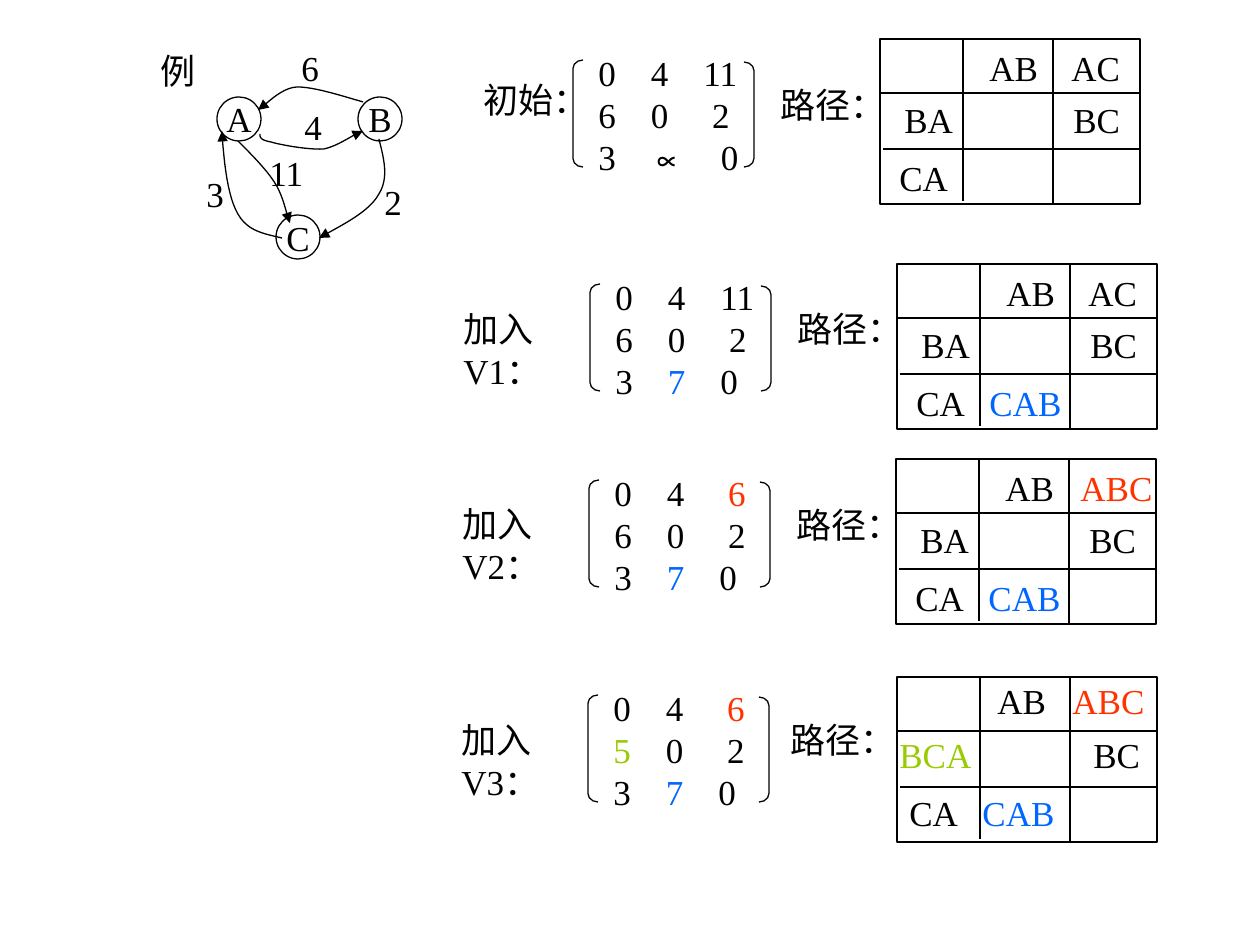
from lxml.etree import SubElement
from pptx import Presentation
from pptx.dml.color import RGBColor
from pptx.enum.shapes import MSO_CONNECTOR, MSO_SHAPE
from pptx.enum.text import MSO_ANCHOR, MSO_AUTO_SIZE, PP_ALIGN
from pptx.oxml.ns import qn
from pptx.util import Emu, Pt

PX_PER_INCH = 126
FONT = "Times New Roman"
COLORS = {"black": "000000", "blue": "0066FF", "red": "FF3300", "green": "99CC00"}
LINE_WIDTH = Pt(0.75)
TEXT_HEIGHT = 55
GRID_WIDTH, GRID_HEIGHT = 260, 165
# The colour of an entry tells which step changed it
ENTRY_COLORS = {"7": "blue", "CAB": "blue", "ABC": "red", "BCA": "green", "5": "green"}


def px(value):
    return Emu(round(value * 914400 / PX_PER_INCH))


def color(name):
    return RGBColor.from_string(COLORS[name])


def style(paragraph):
    paragraph.font.name = FONT
    paragraph.font.size = Pt(20)
    paragraph.font.color.rgb = color("black")


def set_line(shape):
    shape.line.color.rgb = color("black")
    shape.line.width = LINE_WIDTH


def outline(shape):
    shape.shadow.inherit = False
    shape.fill.background()
    set_line(shape)


def add_label(slide, text, left, top, width, wrap=False):
    frame = slide.shapes.add_textbox(px(left), px(top), px(width), px(TEXT_HEIGHT)).text_frame
    frame.word_wrap = wrap
    frame.auto_size = MSO_AUTO_SIZE.SHAPE_TO_FIT_TEXT
    frame.text = text
    style(frame.paragraphs[0])


def add_entries(slide, rows, left, top, width, height):
    """Each row is its entries and the tab positions between them."""
    frame = slide.shapes.add_textbox(px(left), px(top), px(width), px(height)).text_frame
    frame.word_wrap = True
    frame.margin_right = 0
    for index, (entries, positions) in enumerate(rows):
        paragraph = frame.paragraphs[0] if index == 0 else frame.add_paragraph()
        if positions:
            tabs = SubElement(paragraph._p.get_or_add_pPr(), qn("a:tabLst"))
            for position in positions:
                SubElement(tabs, qn("a:tab"), pos=str(px(position)), algn="l")
        style(paragraph)
        for column, entry in enumerate(entries):
            if column:
                paragraph.add_run().text = "\t"
            run = paragraph.add_run()
            run.text = entry
            if entry == "∝":
                run.font.name = "Arial"
            # A 6 in the last column is the shortened A to C distance
            shortened = entry == "6" and column == 2
            if shortened or entry in ENTRY_COLORS:
                run.font.color.rgb = color("red" if shortened else ENTRY_COLORS[entry])


def add_node(slide, name, left, top):
    node = slide.shapes.add_shape(MSO_SHAPE.OVAL, px(left), px(top), px(44), px(44))
    outline(node)
    frame = node.text_frame
    frame.word_wrap = False
    frame.vertical_anchor = MSO_ANCHOR.MIDDLE
    frame.text = name
    frame.paragraphs[0].alignment = PP_ALIGN.CENTER
    style(frame.paragraphs[0])


def bezier_points(start, controls, steps=12):
    """Points along cubic curves; each curve takes three of the controls."""
    points = []
    for index in range(0, len(controls), 3):
        first, second, end = controls[index:index + 3]
        for step in range(1, steps + 1):
            t = step / steps
            u = 1 - t
            points.append(tuple(
                px(u**3 * a + 3 * u * u * t * b + 3 * u * t * t * c + t**3 * d)
                for a, b, c, d in zip(start, first, second, end)))
        start = end
    return points


def add_arc(slide, start, *controls):
    builder = slide.shapes.build_freeform(px(start[0]), px(start[1]))
    builder.add_line_segments(bezier_points(start, controls), close=False)
    arc = builder.convert_to_shape()
    outline(arc)
    SubElement(arc.line._get_or_add_ln(), qn("a:tailEnd"), type="triangle")


def add_bracket(slide, kind, left, top, height):
    bracket = slide.shapes.add_shape(kind, px(left), px(top), px(10), px(height))
    bracket.adjustments[0] = 0.85
    outline(bracket)


def add_matrix(slide, rows, left, top):
    add_entries(slide, rows, left, top, 165, 139)
    add_bracket(slide, MSO_SHAPE.LEFT_BRACKET, left - 13, top + 15, 107)
    add_bracket(slide, MSO_SHAPE.RIGHT_BRACKET, left + 158, top + 17, 105)


def add_path_grid(slide, rows, left, top, text_offsets):
    """A ruled frame of three by three, with one line of text for each row."""
    frame = slide.shapes.add_shape(MSO_SHAPE.RECTANGLE, px(left), px(top),
                                   px(GRID_WIDTH), px(GRID_HEIGHT))
    outline(frame)
    for x1, y1, x2, y2 in ((0, 54, GRID_WIDTH, 54), (3, 110, GRID_WIDTH, 110),
                           (83, 0, 83, 162), (173, 0, 173, GRID_HEIGHT)):
        rule = slide.shapes.add_connector(MSO_CONNECTOR.STRAIGHT, px(left + x1), px(top + y1),
                                          px(left + x2), px(top + y2))
        set_line(rule)
        SubElement(rule._element.spPr, qn("a:effectLst"))
    for row, (x, y), width in zip(rows, text_offsets, (173, 255, 173)):
        row_width = width if len(row[0]) > 1 else 73
        add_entries(slide, [row], left + x, top + y, row_width, TEXT_HEIGHT)


def add_graph(slide):
    add_label(slide, "例", 148, 43, 60)
    for name, left, top in (("A", 217, 97), ("C", 276, 215), ("B", 358, 97)):
        add_node(slide, name, left, top)
    # Directed edges: A to B, B to A, A to C, C to A, B to C
    add_arc(slide, (260, 134), (260, 137), (260, 140), (271, 142), (281, 145),
            (309, 150), (324, 149), (339, 146), (357, 132), (363, 131))
    add_arc(slide, (363, 102), (339, 95), (314, 87), (297, 87),
            (280, 88), (265, 106), (258, 110))
    add_arc(slide, (238, 141), (252, 155), (266, 169), (275, 183),
            (284, 197), (287, 217), (290, 223))
    add_arc(slide, (282, 238), (266, 234), (248, 232), (238, 214),
            (228, 197), (224, 164), (222, 131))
    add_arc(slide, (379, 139), (384, 159), (389, 178), (379, 194),
            (369, 212), (344, 224), (319, 238))
    for weight, left, top in (("2", 372, 174), ("6", 289, 40), ("4", 292, 99), ("3", 194, 166)):
        add_label(slide, weight, left, top, 43)
    add_label(slide, "11", 257, 145, 60)


def add_stages(slide):
    # Matrix rows
    first, first_short = ("0 4 11".split(), (52.5, 105)), ("0 4 6".split(), (52.5, 113.75))
    second, second_short = [(row.split(), (52.5, 113.75)) for row in ("6 0 2", "5 0 2")]
    third, third_short = ("3 ∝ 0".split(), (52.5, 122.5)), ("3 7 0".split(), (52.5, 105))
    # Path rows
    from_a, from_a_short = (("AB", "AC"), (82,)), (("AB", "ABC"), (75,))
    from_b, from_b_short = (("BA", "BC"), (169,)), (("BCA", "BC"), (194,))
    from_c, from_c_short = (("CA",), ()), (("CA", "CAB"), (73,))
    upper, lower = ((97, 1), (12, 53), (7, 111)), ((88, -4), (-10, 50), (0, 108))
    # Title and its place, matrix and its place, path label left, grid and its place
    stages = (
        ("初始：", 471, 72, (first, second, third), 586, 45, 768,
         (from_a, from_b, from_c), 880, 39, upper),
        ("加入V1：", 451, 301, (first, second, third_short), 603, 269, 785,
         (from_a, from_b, from_c_short), 897, 264, upper),
        ("加入V2：", 450, 496, (first_short, second, third_short), 602, 465, 784,
         (from_a_short, from_b, from_c_short), 896, 459, upper),
        ("加入V3：", 449, 712, (first_short, second_short, third_short), 601, 680, 778,
         (from_a_short, from_b_short, from_c_short), 897, 677, lower),
    )
    for (title, title_left, title_top, rows, matrix_left, matrix_top, label_left,
         paths, grid_left, grid_top, text_offsets) in stages:
        wraps = "V" in title
        add_matrix(slide, rows, matrix_left, matrix_top)
        add_label(slide, title, title_left, title_top, 172 if wraps else 130, wraps)
        add_label(slide, "路径：", label_left, matrix_top + 32, 130)
        add_path_grid(slide, paths, grid_left, grid_top, text_offsets)


def main():
    presentation = Presentation()
    presentation.slide_width, presentation.slide_height = px(1260), px(945)
    slide = presentation.slides.add_slide(presentation.slide_layouts[6])
    add_graph(slide)
    add_stages(slide)
    presentation.save("out.pptx")


if __name__ == "__main__":
    main()
